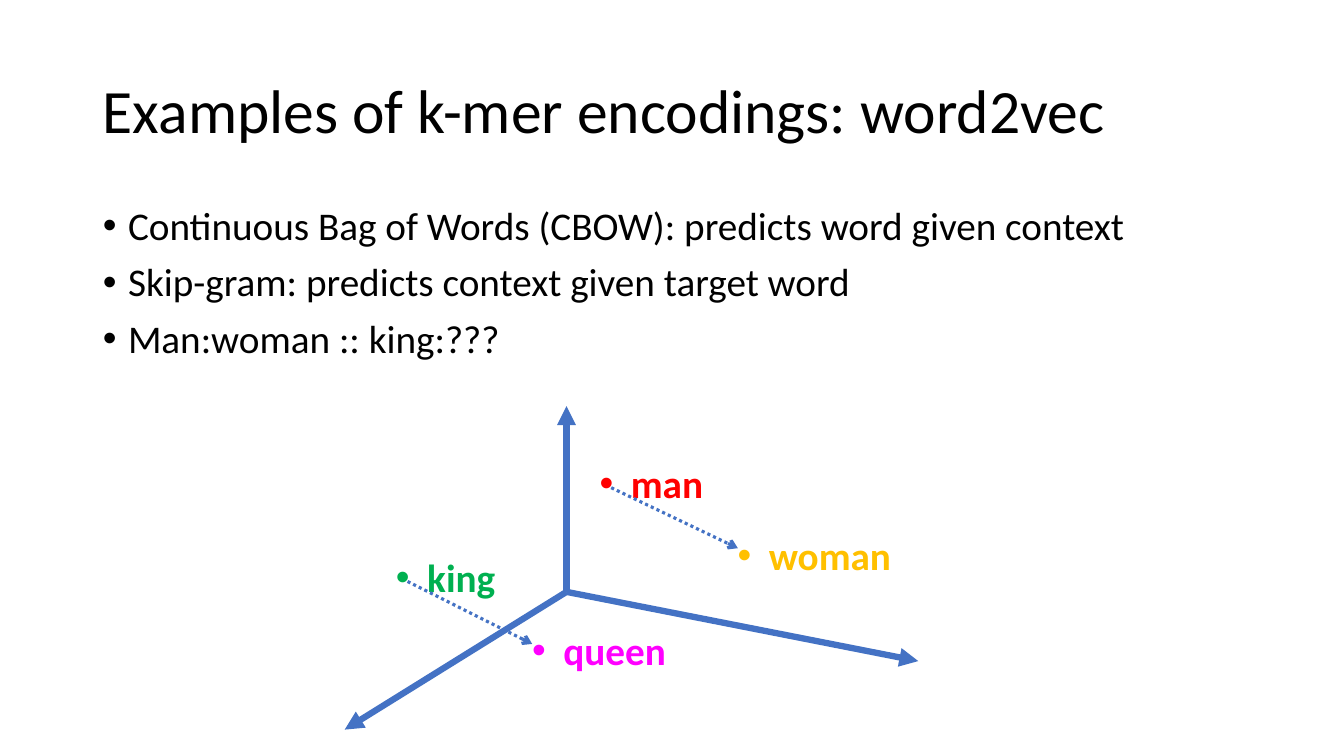
from lxml.etree import SubElement
from pptx import Presentation
from pptx.dml.color import RGBColor
from pptx.enum.dml import MSO_LINE
from pptx.enum.shapes import MSO_CONNECTOR
from pptx.enum.text import MSO_ANCHOR, MSO_AUTO_SIZE, PP_ALIGN
from pptx.oxml.ns import qn
from pptx.util import Inches, Pt

COLORS = {"text": "000000", "axis": "4472C4", "man": "FF0000",
          "woman": "FFC000", "king": "00B050", "queen": "FF00FF"}
FONT = "Calibri"
CELL = Inches(13.33) / 40  # square grid: 40 columns, 22.5 rows


def grid(*cells):
    return [round(c * CELL) for c in cells]


def add_run(p, text, size, color, bold=False):
    r = p.add_run()
    r.text = text
    r.font.name = FONT
    r.font.size = Pt(size)
    r.font.bold = bold
    r.font.color.rgb = RGBColor.from_string(COLORS[color])


def add_bullet(p, indent):
    pPr = p._p.get_or_add_pPr()
    pPr.set("marL", str(Inches(indent)))
    pPr.set("indent", str(-Inches(indent)))
    SubElement(pPr, qn("a:buFont")).set("typeface", "Arial")
    SubElement(pPr, qn("a:buChar")).set("char", "•")


def place(sp, box):
    sp.left, sp.top, sp.width, sp.height = grid(*box)


def add_title(s, box, text):
    sp = s.shapes.title
    place(sp, box)
    tf = sp.text_frame
    tf.auto_size = MSO_AUTO_SIZE.NONE
    tf.vertical_anchor = MSO_ANCHOR.MIDDLE
    p = tf.paragraphs[0]
    p.alignment = PP_ALIGN.LEFT
    p.line_spacing = 0.9
    add_run(p, text, 44, "text")


def add_body(s, box, items):
    sp = s.placeholders[1]
    place(sp, box)
    tf = sp.text_frame
    tf.auto_size = MSO_AUTO_SIZE.NONE
    for i, item in enumerate(items):
        p = tf.add_paragraph() if i else tf.paragraphs[0]
        p.line_spacing = 0.9
        p.space_before = Pt(10)
        add_bullet(p, 0.25)
        add_run(p, item, 28, "text")


def add_arrow(s, start, end, width, head, dash=None):
    c = s.shapes.add_connector(MSO_CONNECTOR.STRAIGHT, *grid(*start, *end))
    c.line.color.rgb = RGBColor.from_string(COLORS["axis"])
    c.line.width = Pt(width)
    if dash:
        c.line.dash_style = dash
    SubElement(c.line._get_or_add_ln(), qn("a:tailEnd")).set("type", head)
    SubElement(c._element.spPr, qn("a:effectLst"))


def add_word(s, box, word):
    sp = s.shapes.add_textbox(*grid(*box))
    tf = sp.text_frame
    tf.word_wrap = False
    tf.auto_size = MSO_AUTO_SIZE.SHAPE_TO_FIT_TEXT
    p = tf.paragraphs[0]
    add_bullet(p, 0.31)
    add_run(p, word, 28, word, bold=True)


def add_vector_space(s, left, top):
    def at(x, y):
        return left + x, top + y

    # Axes from a common origin
    for end in [(0, 9.63), (17.07, 7.59), (6.6, 0)]:
        add_arrow(s, at(6.6, 5.53), at(*end), 4.5, "triangle")

    # Words: column, row, width
    words = {"man": (7.29, 1.44, 3.72), "woman": (11.4, 3.57, 5.22),
             "king": (1.23, 4.23, 3.6), "queen": (5.28, 6.42, 4.62)}
    for word, (x, y, w) in words.items():
        add_word(s, (*at(x, y), w, 1.71), word)

    # Parallel offsets between word pairs
    for source, target in [("man", "woman"), ("king", "queen")]:
        x1, y1, _ = words[source]
        x2, y2, _ = words[target]
        add_arrow(s, at(x1 + 0.64, y1 + 0.99), at(x2 + 0.3, y2 + 0.66),
                  2.25, "arrow", MSO_LINE.ROUND_DOT)


def main():
    prs = Presentation()
    prs.slide_width, prs.slide_height = Inches(13.33), Inches(7.5)
    s = prs.slides.add_slide(prs.slide_layouts[1])
    add_title(s, (2.76, 1.2, 34.5, 4.35),
              "Examples of k-mer encodings: word2vec")
    add_body(s, (2.76, 6, 34.5, 14.28), [
        "Continuous Bag of Words (CBOW): predicts word given context",
        "Skip-gram: predicts context given target word",
        "Man:woman :: king:???"])
    add_vector_space(s, 10.26, 12.09)
    prs.save("out.pptx")


if __name__ == "__main__":
    main()
